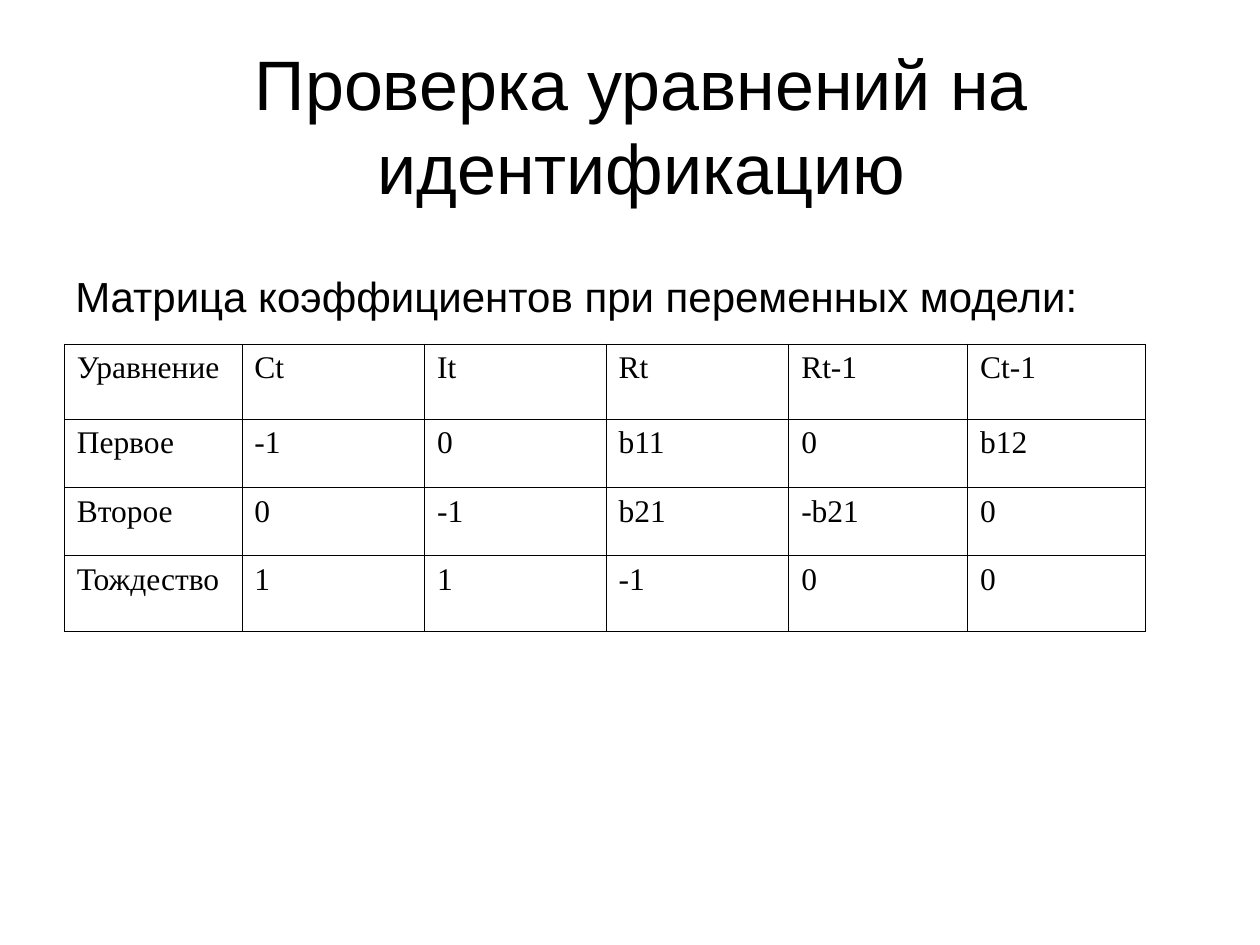
from lxml import etree
from pptx import Presentation
from pptx.dml.color import RGBColor
from pptx.enum import text
from pptx.oxml.ns import qn
from pptx.util import Inches, Pt

TITLE = "Проверка уравнений на идентификацию"
CAPTION = "Матрица коэффициентов при переменных модели:"
MATRIX = [
    ("Уравнение", "Ct", "It", "Rt", "Rt-1", "Ct-1"),
    ("Первое", "-1", "0", "b11", "0", "b12"),
    ("Второе", "0", "-1", "b21", "-b21", "0"),
    ("Тождество", "1", "1", "-1", "0", "0"),
]
COL_WIDTHS = (1.41, 1.45, 1.44, 1.45, 1.42, 1.41)
ROW_HEIGHTS = (0.6, 0.54, 0.54, 0.6)
COLORS = {"ink": "000000", "paper": "FFFFFF"}


def write(tf, content, font, size):
    tf.text = content
    p = tf.paragraphs[0]
    r = p.runs[0]
    r.font.name = font
    r.font.size = Pt(size)
    r.font.color.rgb = RGBColor.from_string(COLORS["ink"])
    return p


def add_borders(cell):
    tc_pr = cell._tc.get_or_add_tcPr()
    for side in ("a:lnL", "a:lnR", "a:lnT", "a:lnB"):
        ln = etree.SubElement(tc_pr, qn(side), w=str(Pt(0.45)))
        fill = etree.SubElement(ln, qn("a:solidFill"))
        etree.SubElement(fill, qn("a:srgbClr"), val=COLORS["ink"])


def add_title(s):
    sp = s.shapes.title
    sp.left, sp.top, sp.width, sp.height = map(Inches, (0.59, 0.36, 9, 1.25))
    tf = sp.text_frame
    tf.word_wrap = True
    tf.auto_size = text.MSO_AUTO_SIZE.NONE
    tf.vertical_anchor = text.MSO_ANCHOR.MIDDLE
    write(tf, TITLE, "Arial", 40).alignment = text.PP_ALIGN.CENTER


def add_matrix(s):
    box = map(Inches, (0.51, 2.73, sum(COL_WIDTHS), sum(ROW_HEIGHTS)))
    table = s.shapes.add_table(len(MATRIX), len(COL_WIDTHS), *box).table
    table.first_row = table.horz_banding = False
    for col, width in zip(table.columns, COL_WIDTHS):
        col.width = Inches(width)
    for row, height, values in zip(table.rows, ROW_HEIGHTS, MATRIX):
        row.height = Inches(height)
        for cell, value in zip(row.cells, values):
            p = write(cell.text_frame, value, "Times New Roman", 18)
            p_pr = p._p.get_or_add_pPr()
            p_pr.set("marL", str(Inches(0.38)))
            p_pr.set("indent", str(Inches(-0.38)))
            add_borders(cell)
            cell.fill.solid()
            cell.fill.fore_color.rgb = RGBColor.from_string(COLORS["paper"])


def add_caption(s):
    sp = s.shapes.add_textbox(*map(Inches, (0.5, 2.1, 9, 0.55)))
    tf = sp.text_frame
    tf.word_wrap = True
    write(tf, CAPTION, "Arial", 24).space_before = Pt(6)


def main():
    prs = Presentation()
    prs.slide_width, prs.slide_height = Inches(10), Inches(7.5)
    s = prs.slides.add_slide(prs.slide_layouts[5])
    add_title(s)
    add_matrix(s)
    add_caption(s)
    prs.save("out.pptx")


if __name__ == "__main__":
    main()
